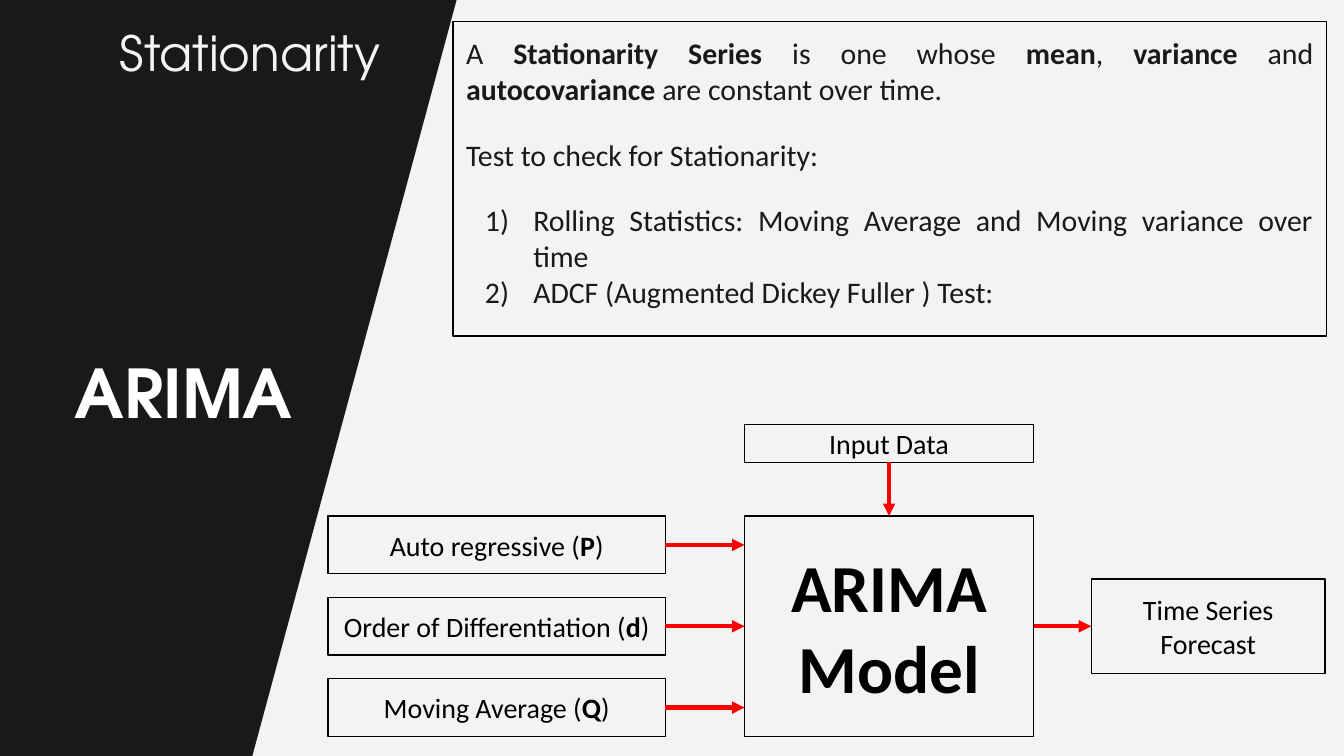
"""Build the ARIMA slide on a grid of 100 columns, each a tenth of an inch."""
from dataclasses import dataclass

import pptx
import pptx.dml.color
import pptx.enum.shapes
import pptx.enum.text
import pptx.oxml
import pptx.oxml.ns
import pptx.util

COLUMNS, ROWS = 100, 56.25
CELL = pptx.util.Inches(10) // COLUMNS
DARK, PALE, BLACK, WHITE, RED = "191919", "F3F3F3", "000000", "FFFFFF", "FF0000"
BODY, DISPLAY = "Calibri", "TeX Gyre Adventor"
ALIGN = pptx.enum.text.PP_ALIGN
ANCHOR = pptx.enum.text.MSO_ANCHOR
SHAPE = pptx.enum.shapes.MSO_SHAPE


@dataclass(frozen=True)
class Area:
    """A rectangle in grid columns and rows."""
    left: float
    top: float
    width: float
    height: float

    @property
    def right(self) -> float:
        """Return the right edge."""
        return self.left + self.width

    @property
    def bottom(self) -> float:
        """Return the bottom edge."""
        return self.top + self.height

    @property
    def center(self) -> float:
        """Return the horizontal centre."""
        return self.left + self.width / 2

    @property
    def middle(self) -> float:
        """Return the vertical centre."""
        return self.top + self.height / 2

    def lengths(self) -> tuple[int, ...]:
        """Return left, top, width and height in slide units."""
        return tuple(map(cells, (self.left, self.top, self.width, self.height)))


@dataclass(frozen=True)
class Style:
    """The look of a text."""
    size: float
    color: str = BLACK
    font: str = BODY
    bold: bool = False
    align: ALIGN = ALIGN.CENTER
    anchor: ANCHOR = ANCHOR.MIDDLE


@dataclass(frozen=True)
class Line:
    """A paragraph, with bold words between double asterisks."""
    text: str
    before: float = 0
    numbered: bool = False


def cells(count: float) -> int:
    """Turn a number of grid cells into slide units."""
    return round(count * CELL)


def rgb(color: str) -> pptx.dml.color.RGBColor:
    """Turn a hex string into a colour."""
    return pptx.dml.color.RGBColor.from_string(color)


def apply(target, values: dict) -> None:
    """Set each named value on the target."""
    for name, value in values.items():
        setattr(target, name, value)


def number(paragraph, color: str) -> None:
    """Give a paragraph a hanging number."""
    properties = paragraph._p.get_or_add_pPr()
    properties.set("marL", str(cells(5)))
    properties.set("indent", str(cells(-3.6)))
    space = pptx.oxml.ns.nsdecls("a")
    for xml in (f'<a:buClr {space}><a:srgbClr val="{color}"/></a:buClr>',
                f'<a:buAutoNum {space} type="arabicParenR"/>'):
        properties.append(pptx.oxml.parse_xml(xml))


def write(shape, lines: list[Line], style: Style) -> None:
    """Fill a shape with styled paragraphs."""
    frame = shape.text_frame
    apply(frame, {"word_wrap": True, "vertical_anchor": style.anchor,
                  "margin_left": CELL, "margin_right": CELL,
                  "margin_top": CELL, "margin_bottom": CELL})
    for index, line in enumerate(lines):
        paragraph = frame.add_paragraph() if index else frame.paragraphs[0]
        paragraph.alignment = style.align
        if line.before:
            paragraph.space_before = pptx.util.Pt(line.before)
        if line.numbered:
            number(paragraph, style.color)
        for part, words in enumerate(line.text.split("**")):
            if words:
                run = paragraph.add_run()
                run.text = words
                apply(run.font, {"name": style.font, "size": pptx.util.Pt(style.size),
                                 "bold": style.bold or part % 2 == 1})
                run.font.color.rgb = rgb(style.color)


def draw_heading(slide, area: Area, text: str, style: Style) -> None:
    """Draw a heading without a frame."""
    write(slide.shapes.add_textbox(*area.lengths()), [Line(text)], style)


def draw_box(slide, area: Area, lines: list[Line], style: Style) -> None:
    """Draw a thinly framed box with text."""
    box = slide.shapes.add_shape(SHAPE.RECTANGLE, *area.lengths())
    box.shadow.inherit = False
    box.fill.background()
    box.line.color.rgb = rgb(BLACK)
    box.line.width = pptx.util.Pt(0.75)
    write(box, lines, style)


def draw_arrow(slide, start: tuple[float, float], end: tuple[float, float]) -> None:
    """Draw a red arrow between two grid points."""
    arrow = slide.shapes.add_connector(
        pptx.enum.shapes.MSO_CONNECTOR.STRAIGHT, *map(cells, start + end))
    arrow.line.color.rgb = rgb(RED)
    arrow.line.width = pptx.util.Pt(2.25)
    space = pptx.oxml.ns.nsdecls("a")
    arrow.line._get_or_add_ln().append(
        pptx.oxml.parse_xml(f'<a:tailEnd {space} type="triangle"/>'))
    arrow._element.spPr.append(pptx.oxml.parse_xml(f"<a:effectLst {space}/>"))


def draw_panel(slide) -> None:
    """Draw the dark slanted panel and its left edge."""
    outline = slide.shapes.build_freeform(cells(3.3), cells(-0.1))
    outline.add_line_segments([(cells(x), cells(y)) for x, y in
                               ((34, -0.1), (18.6, 56.9), (2.9, 56.9))])
    edge = Area(0, -0.1, 6.1, 56.5)
    for part in (outline.convert_to_shape(),
                 slide.shapes.add_shape(SHAPE.RECTANGLE, *edge.lengths())):
        part.shadow.inherit = False
        part.fill.solid()
        part.fill.fore_color.rgb = rgb(DARK)
        part.line.fill.background()


def draw_model(slide) -> None:
    """Draw the model with its inputs, its forecast and the arrows."""
    label = Style(15)
    model = Area(55.4, 38.4, 21.5, 16.4)
    data = Area(model.left, 31.6, model.width, 2.8)
    forecast = Area(81.2, 43.1, 17.4, 7)
    draw_box(slide, model, [Line("ARIMA Model")], Style(36, bold=True))
    draw_box(slide, data, [Line("Input Data")], label)
    draw_box(slide, forecast, [Line("Time Series Forecast")], label)
    draw_arrow(slide, (data.center, data.bottom), (model.center, model.top))
    draw_arrow(slide, (model.right, forecast.middle), (forecast.left, forecast.middle))
    terms = ("Auto regressive (**P**)", "Order of Differentiation (**d**)",
             "Moving Average (**Q**)")
    height = 4.3
    pitch = (model.height - height) / (len(terms) - 1)
    for row, term in enumerate(terms):
        area = Area(24.4, model.top + row * pitch, 25.1, height)
        draw_box(slide, area, [Line(term)], label)
        draw_arrow(slide, (area.right, area.middle), (model.left, area.middle))


def main() -> None:
    """Build and save the slide."""
    deck = pptx.Presentation()
    apply(deck, {"slide_width": cells(COLUMNS), "slide_height": cells(ROWS)})
    slide = deck.slides.add_slide(deck.slide_layouts[6])
    slide.background.fill.solid()
    slide.background.fill.fore_color.rgb = rgb(PALE)
    draw_panel(slide)
    draw_heading(slide, Area(7.9, 0.7, 23.3, 10.3), "Stationarity",
                 Style(26, PALE, DISPLAY, align=ALIGN.LEFT, anchor=ANCHOR.TOP))
    draw_box(slide, Area(33.7, 1.6, 65, 23.4), [
        Line("A **Stationarity Series** is one whose **mean**, **variance** and "
             "**autocovariance** are constant over time."),
        Line("Test to check for Stationarity:", before=16),
        Line("Rolling Statistics: Moving Average and Moving variance over time",
             before=16, numbered=True),
        Line("ADCF (Augmented Dickey Fuller ) Test:", numbered=True),
    ], Style(16, DARK, align=ALIGN.JUSTIFY, anchor=ANCHOR.TOP))
    draw_heading(slide, Area(2.9, 25, 21.5, 8.3), "ARIMA",
                 Style(36, WHITE, DISPLAY, bold=True))
    draw_model(slide)
    deck.save("out.pptx")


if __name__ == "__main__":
    main()
